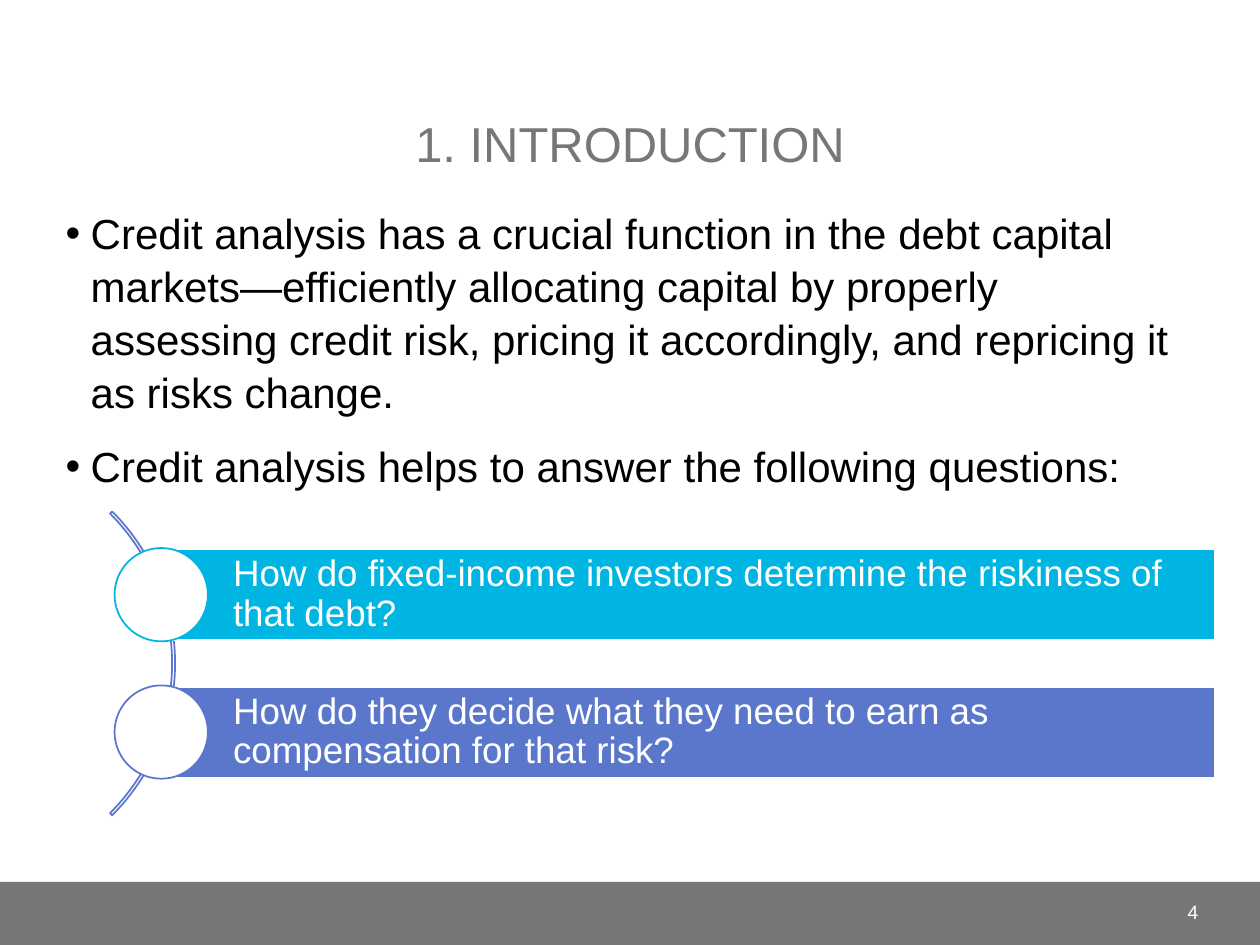
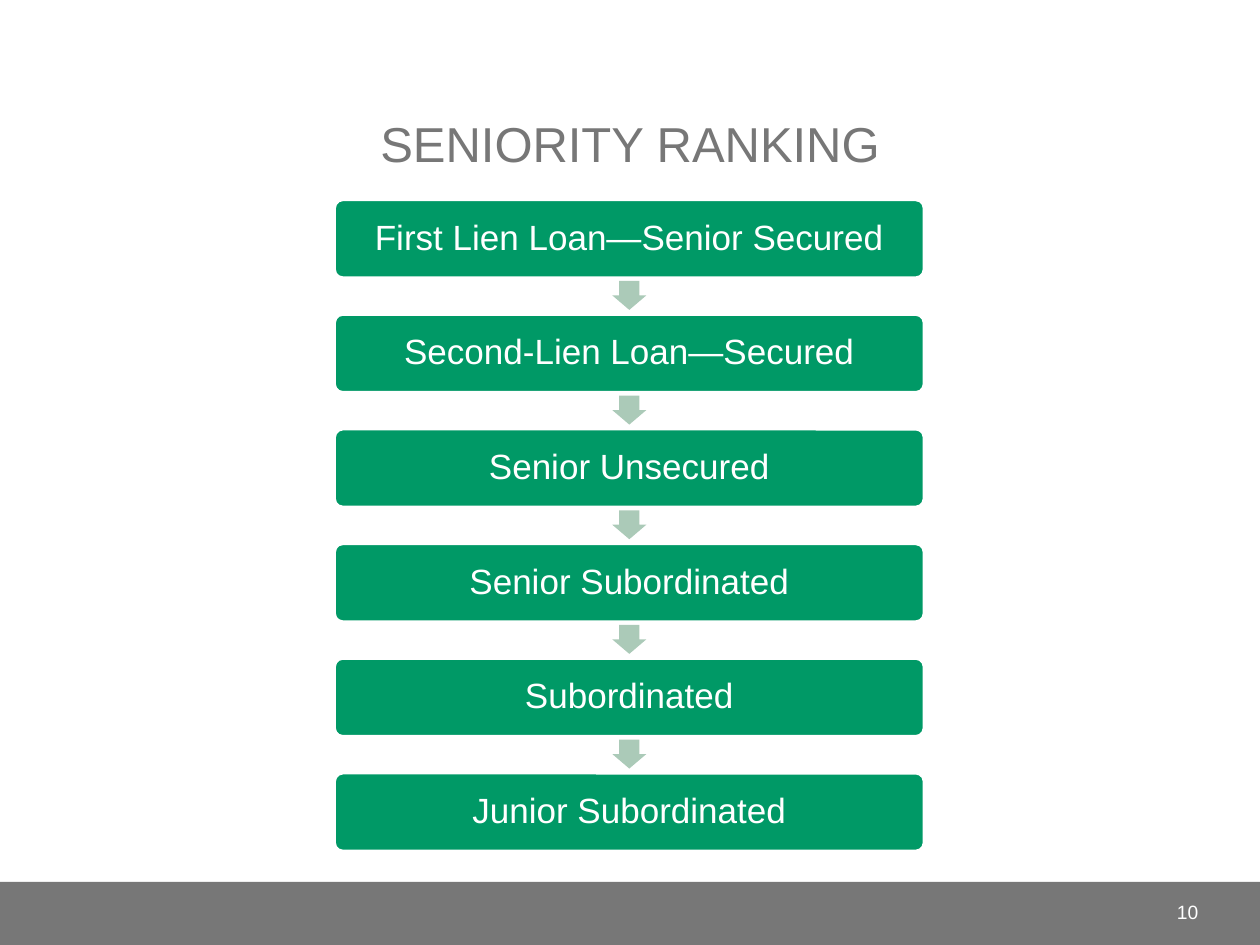
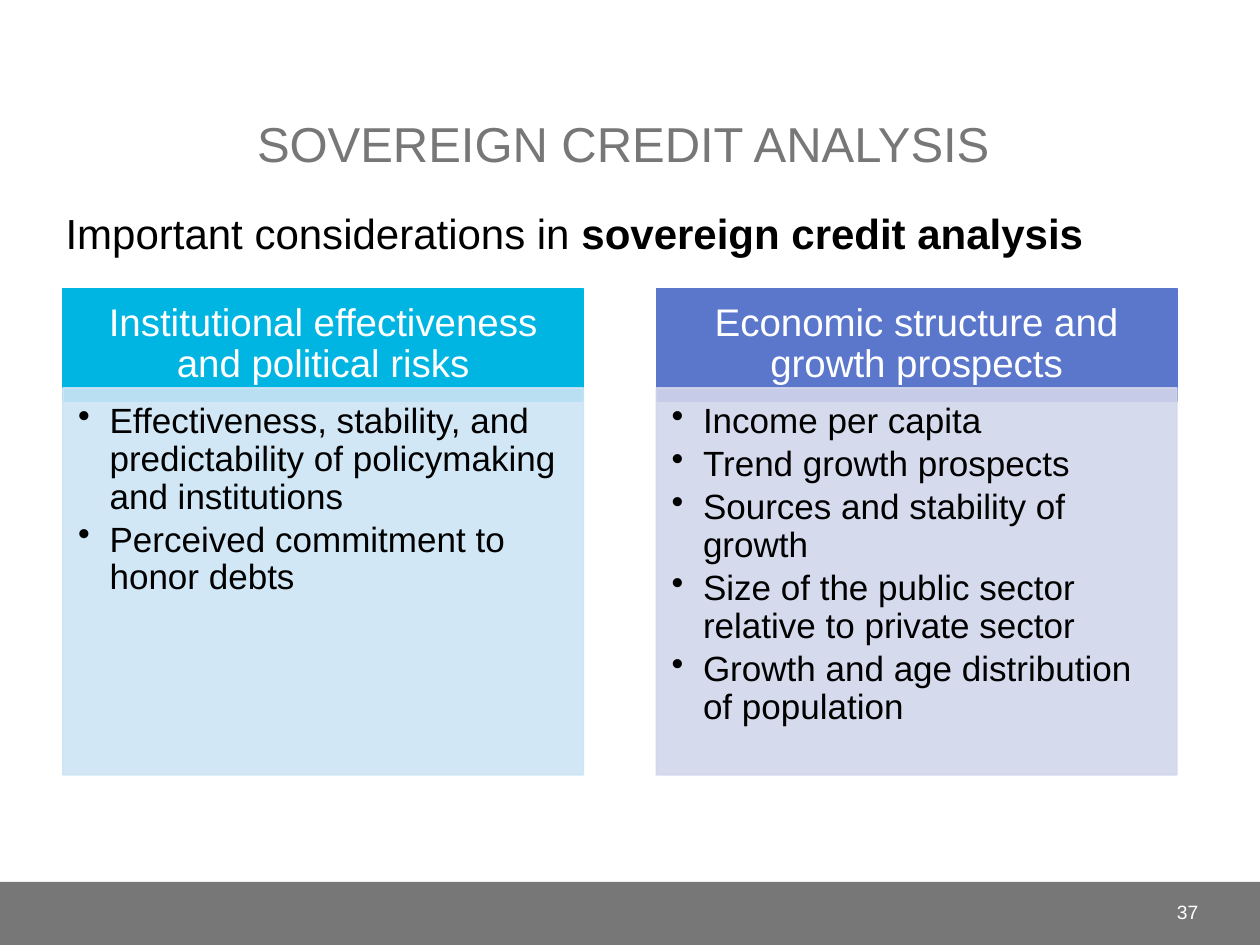
from dataclasses import dataclass

from lxml import etree
from pptx import Presentation
from pptx.dml.color import RGBColor
from pptx.enum.shapes import MSO_SHAPE
from pptx.enum.text import MSO_ANCHOR, MSO_AUTO_SIZE, PP_ALIGN
from pptx.oxml.ns import qn
from pptx.util import Inches, Pt

RECTANGLE = MSO_SHAPE.RECTANGLE
ROUNDED = MSO_SHAPE.ROUNDED_RECTANGLE
OVAL = MSO_SHAPE.OVAL
DOWN_ARROW = MSO_SHAPE.DOWN_ARROW
BLOCK_ARC = MSO_SHAPE.BLOCK_ARC
LEFT, CENTER, RIGHT = PP_ALIGN.LEFT, PP_ALIGN.CENTER, PP_ALIGN.RIGHT
TOP, MIDDLE, BOTTOM = MSO_ANCHOR.TOP, MSO_ANCHOR.MIDDLE, MSO_ANCHOR.BOTTOM
NO_FIT = MSO_AUTO_SIZE.NONE

TITLE_AND_CONTENT, TITLE_ONLY = 1, 5


@dataclass(frozen=True)
class Theme:
    font: str = "Arial"
    gray: str = "777777"
    black: str = "000000"
    white: str = "FFFFFF"
    cyan: str = "00B5E2"
    blue: str = "5B77CC"
    green: str = "009966"
    pale_green: str = "ABCAB8"
    pale_cyan: str = "CCE5F4"
    pale_blue: str = "D2D6EC"
    title_size: int = 28
    body_size: int = 24
    heading_size: int = 22
    question_size: int = 21
    label_size: int = 20
    number_size: int = 11


THEME = Theme()


def apply(target, values):
    for name, value in values.items():
        setattr(target, name, value)


def place(shape, area):
    left, top, width, height = map(Inches, area)
    apply(shape, dict(left=left, top=top, width=width, height=height))


def set_bullet(paragraph, indent, bulleted=True):
    properties = paragraph._p.get_or_add_pPr()
    properties.set("marL", str(Inches(indent)))
    properties.set("indent", str(-Inches(indent)))
    if bulleted:
        etree.SubElement(properties, qn("a:buChar")).set("char", "•")
    else:
        etree.SubElement(properties, qn("a:buNone"))


def set_opacity(shape, percent):
    for color in shape._element.spPr.iter(qn("a:srgbClr")):
        etree.SubElement(color, qn("a:alpha")).set("val", str(percent * 1000))


class SlideBuilder:
    """Holds the theme and the slide that is being built."""

    def __init__(self, theme):
        self.theme = theme
        self.deck = Presentation()
        apply(self.deck, dict(slide_width=Inches(10), slide_height=Inches(7.5)))
        self.page = None

    def new_page(self, layout, title, number):
        theme = self.theme
        self.page = self.deck.slides.add_slide(self.deck.slide_layouts[layout])
        # Title
        heading = self.page.shapes.title
        place(heading, (0.42, 0.17, 9.16, 1.25))
        self.set_text(heading, [title], theme.title_size, theme.gray,
                      align=CENTER, anchor=BOTTOM)
        # Footer band and page number
        self.shape(RECTANGLE, (0, 7, 10, 0.5), fill=theme.gray)
        box = self.page.shapes.add_textbox(0, 0, 0, 0)
        place(box, (8.75, 7.04, 0.86, 0.4))
        self.set_text(box, [str(number)], theme.number_size, theme.white,
                      align=RIGHT, anchor=MIDDLE)

    def body(self, paragraphs, height, indent=0.2, bulleted=True):
        box = self.page.placeholders[1]
        place(box, (0.42, 1.58, 9.16, height))
        self.set_text(box, paragraphs, self.theme.body_size, self.theme.black,
                      indent=indent, bulleted=bulleted, spacing=1.05,
                      before=6, after=6)

    def shape(self, kind, area, fill=None, line=None, adjustments=(), opacity=100):
        shape = self.page.shapes.add_shape(kind, 0, 0, 0, 0)
        place(shape, area)
        shape.shadow.inherit = False
        for index, value in enumerate(adjustments):
            shape.adjustments[index] = value
        for paint, color in ((shape.fill, fill), (shape.line.fill, line)):
            if color is None:
                paint.background()
            else:
                paint.solid()
                paint.fore_color.rgb = RGBColor.from_string(color)
        if line:
            shape.line.width = Pt(1)
        if opacity < 100:
            set_opacity(shape, opacity)
        return shape

    def set_text(self, box, paragraphs, size, color, align=LEFT, anchor=TOP,
                 margins=(0.1, 0.05, 0.1, 0.05), indent=None, bulleted=True,
                 spacing=1.0, before=0, after=0):
        """Each paragraph is a string, or a list of (text, bold) spans."""
        frame = box.text_frame
        left, top, right, bottom = map(Inches, margins)
        apply(frame, dict(word_wrap=True, auto_size=NO_FIT, vertical_anchor=anchor,
                          margin_left=left, margin_top=top,
                          margin_right=right, margin_bottom=bottom))
        for index, content in enumerate(paragraphs):
            para = frame.paragraphs[0] if index == 0 else frame.add_paragraph()
            if indent is not None:
                set_bullet(para, indent, bulleted)
            apply(para, dict(alignment=align, line_spacing=spacing,
                             space_before=Pt(before if index else 0),
                             space_after=Pt(after)))
            spans = [(content, False)] if isinstance(content, str) else content
            for text, bold in spans:
                span = para.add_run()
                span.text = text
                apply(span.font, dict(name=self.theme.font, size=Pt(size), bold=bold))
                span.font.color.rgb = RGBColor.from_string(color)

    def question(self, top, text, color):
        """A bar of text with a circle over its left end."""
        theme = self.theme
        bar = self.shape(RECTANGLE, (1.28, top, 8.36, 0.72), color, theme.white)
        self.set_text(bar, [text], theme.question_size, theme.white, anchor=MIDDLE,
                      margins=(0.57, 0.06, 0.06, 0.06), spacing=0.9)
        self.shape(OVAL, (0.91, top - 0.01, 0.74, 0.74), theme.white, color)

    def card(self, left, heading, points, color, tint):
        """A heading over a tinted list."""
        theme, width = self.theme, 4.13
        header = self.shape(RECTANGLE, (left, 2.29, width, 0.89), color, color)
        self.set_text(header, [heading], theme.heading_size, theme.white, align=CENTER,
                      anchor=MIDDLE, margins=(0.17, 0.1, 0.17, 0.1), spacing=0.9)
        panel = self.shape(RECTANGLE, (left, 3.08, width, 3.07), tint, tint, opacity=90)
        self.set_text(panel, points, theme.label_size, theme.black, indent=0.25,
                      margins=(0.12, 0.12, 0.16, 0.17), spacing=0.9, after=3)


def add_introduction(builder):
    theme = builder.theme
    builder.new_page(TITLE_AND_CONTENT, "1. INTRODUCTION", 4)
    builder.body([
        "Credit analysis has a crucial function in the debt capital "
        "markets—efficiently allocating capital by properly assessing credit risk, "
        "pricing it accordingly, and repricing it as risks change.",
        "Credit analysis helps to answer the following questions:",
    ], height=2.42)
    # Curve that joins the questions
    builder.shape(BLOCK_ARC, (-2.02, 3.56, 3.41, 3.41), line=theme.blue,
                  adjustments=(189, 27, 0.007))
    builder.question(4.36, "How do fixed-income investors determine the riskiness "
                           "of that debt?", theme.cyan)
    builder.question(5.45, "How do they decide what they need to earn as "
                           "compensation for that risk?", theme.blue)


def add_seniority_ranking(builder):
    theme = builder.theme
    builder.new_page(TITLE_ONLY, "SENIORITY RANKING", 10)
    ranks = ["First Lien Loan—Senior Secured", "Second-Lien Loan—Secured",
             "Senior Unsecured", "Senior Subordinated", "Subordinated",
             "Junior Subordinated"]
    first_top, step = 1.59, 0.91
    for index, rank in enumerate(ranks):
        top = first_top + index * step
        # Arrow from the rank above
        if index:
            builder.shape(DOWN_ARROW, (4.86, top - 0.27, 0.27, 0.23),
                          theme.pale_green, adjustments=(0.6, 0.5))
        box = builder.shape(ROUNDED, (2.66, top, 4.67, 0.61), theme.green,
                            theme.white, adjustments=(0.1,))
        builder.set_text(box, [rank], theme.label_size, theme.white, align=CENTER,
                         anchor=MIDDLE, margins=(0.08,) * 4, spacing=0.9)


def add_sovereign_analysis(builder):
    theme = builder.theme
    builder.new_page(TITLE_AND_CONTENT, "SOVEREIGN CREDIT ANALYSIS ", 37)
    builder.body([[("Important considerations in ", False),
                   ("sovereign credit analysis", True)]],
                 height=0.67, indent=0, bulleted=False)
    # Two groups of considerations
    builder.card(0.5, "Institutional effectiveness and political risks", [
        "Effectiveness, stability, and predictability of policymaking and institutions",
        "Perceived commitment to honor debts",
    ], theme.cyan, theme.pale_cyan)
    builder.card(5.21, "Economic structure and growth prospects", [
        "Income per capita",
        "Trend growth prospects",
        "Sources and stability of growth",
        "Size of the public sector relative to private sector",
        "Growth and age distribution of population",
    ], theme.blue, theme.pale_blue)


def main():
    builder = SlideBuilder(THEME)
    add_introduction(builder)
    add_seniority_ranking(builder)
    add_sovereign_analysis(builder)
    builder.deck.save("out.pptx")


if __name__ == "__main__":
    main()
